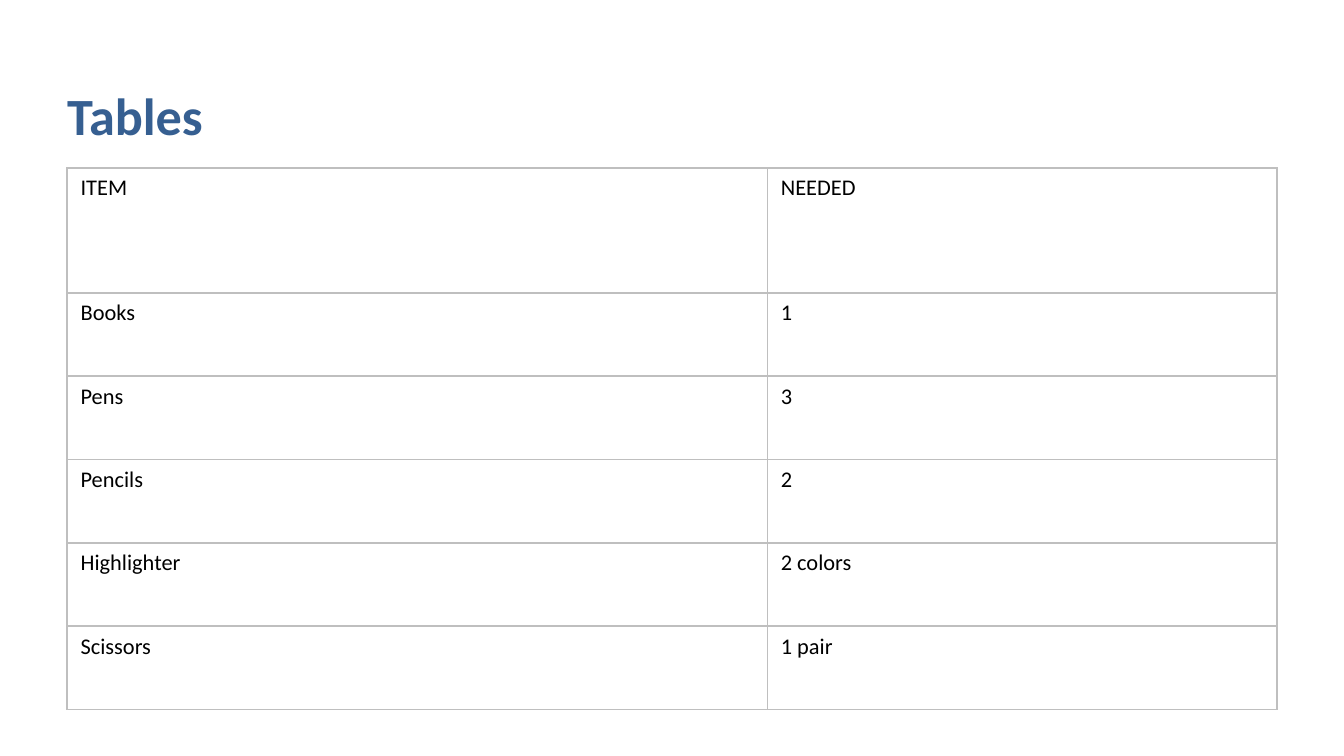
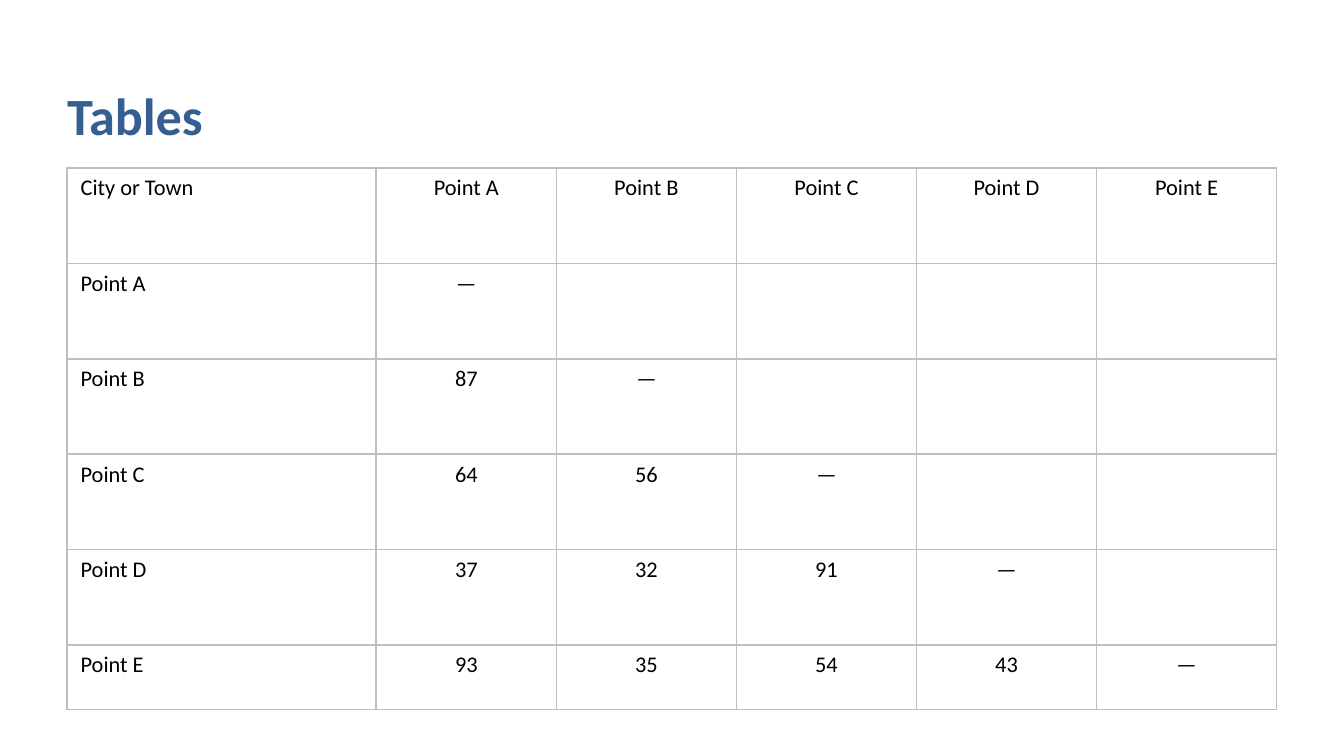
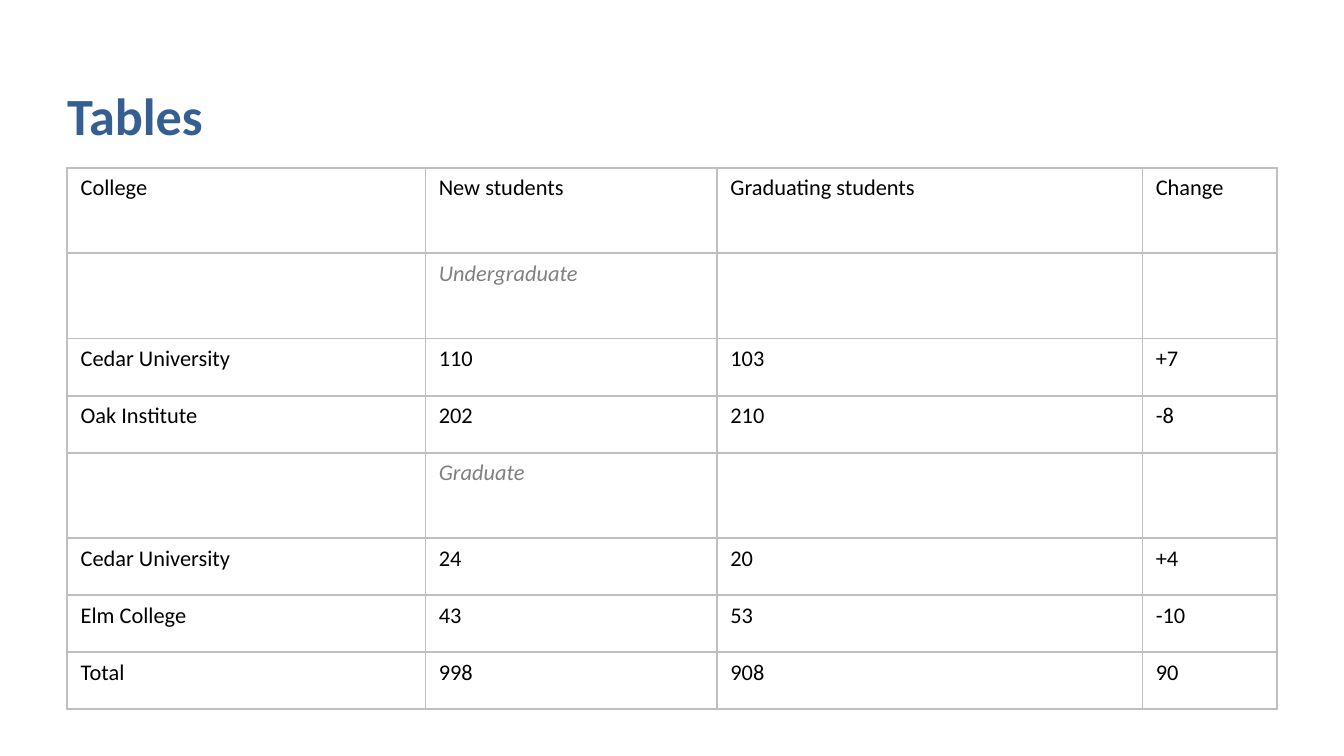
from dataclasses import dataclass
from typing import Any

from lxml.etree import SubElement
from pptx import Presentation
from pptx.dml.color import RGBColor
from pptx.enum.text import MSO_ANCHOR, MSO_AUTO_SIZE, PP_ALIGN
from pptx.oxml.ns import qn
from pptx.util import Emu, Pt

# Scale: 200 px to the inch
EMU_PER_PX = 4572
SLIDE_WIDTH, SLIDE_HEIGHT = 2000, 1125
MARGIN = 100
CONTENT_WIDTH = SLIDE_WIDTH - 2 * MARGIN
TITLE_TOP, TITLE_HEIGHT = 62, 156
TABLE_TOP = 250
TITLE_ONLY_LAYOUT = 5

# Shared style
BLUE = RGBColor(0x36, 0x5F, 0x91)
BLACK = RGBColor(0x00, 0x00, 0x00)
GRAY = RGBColor(0x80, 0x80, 0x80)
BORDER_GRAY = RGBColor(0xBF, 0xBF, 0xBF)
BORDER_WIDTH = Pt(1.02)
FONT_NAME = "Calibri"
TITLE_FONT = {"name": FONT_NAME, "size": Pt(28), "bold": True}
CELL_FONT = {"name": FONT_NAME, "size": Pt(12), "italic": False}
GROUP_FONT = CELL_FONT | {"italic": True}
TITLE_FRAME = {
    "margin_left": 0, "margin_top": 0, "margin_right": 0, "margin_bottom": 0,
    "vertical_anchor": MSO_ANCHOR.BOTTOM, "word_wrap": True,
    "auto_size": MSO_AUTO_SIZE.SHAPE_TO_FIT_TEXT,
}
PLAIN_TABLE = {"first_row": False, "horz_banding": False}


@dataclass(frozen=True)
class TableSlide:
    title: str
    column_widths: list[int]
    row_heights: list[int]
    rows: list[tuple[str, ...]]
    centered_values: bool = False
    group_labels: tuple[str, ...] = ()


POINTS = [f"Point {letter}" for letter in "ABCDE"]
DISTANCES = [(), ("87",), ("64", "56"), ("37", "32", "91"), ("93", "35", "54", "43")]

TABLE_SLIDES = [
    TableSlide(
        "Tables", [1042, 758], [186] + [124] * 5,
        [
            ("ITEM", "NEEDED"),
            ("Books", "1"),
            ("Pens", "3"),
            ("Pencils", "2"),
            ("Highlighter", "2 colors"),
            ("Scissors", "1 pair"),
        ],
    ),
    TableSlide(
        "Tables", [460] + [268] * 5, [142] * 5 + [96],
        [("City or Town", *POINTS)]
        + [(point, *values, "—") for point, values in zip(POINTS, DISTANCES)],
        centered_values=True,
    ),
    TableSlide(
        "Tables", [533, 434, 633, 200], [127, 127, 85, 85, 127, 85, 85, 85],
        [
            ("College", "New students", "Graduating students", "Change"),
            ("", "Undergraduate"),
            ("Cedar University", "110", "103", "+7"),
            ("Oak Institute", "202", "210", "-8"),
            ("", "Graduate"),
            ("Cedar University", "24", "20", "+4"),
            ("Elm College", "43", "53", "-10"),
            ("Total", "998", "908", "90"),
        ],
        group_labels=("Undergraduate", "Graduate"),
    ),
]


def px(length: int) -> Emu:
    return Emu(length * EMU_PER_PX)


def apply_format(target: Any, values: dict[str, Any]) -> None:
    for name, value in values.items():
        setattr(target, name, value)


def write_text(paragraph: Any, text: str, font: dict[str, Any], color: RGBColor) -> None:
    run = paragraph.add_run()
    run.text = text
    apply_format(run.font, font)
    run.font.color.rgb = color


def format_cell(cell: Any) -> None:
    """Draw all four borders and leave the cell unfilled."""
    properties = cell._tc.get_or_add_tcPr()
    for side in ("a:lnL", "a:lnR", "a:lnT", "a:lnB"):
        line = SubElement(properties, qn(side), w=str(BORDER_WIDTH))
        fill = SubElement(line, qn("a:solidFill"))
        SubElement(fill, qn("a:srgbClr"), val=str(BORDER_GRAY))
    cell.fill.background()


def add_title(slide: Any, text: str) -> None:
    title = slide.shapes.title
    apply_format(title, {
        "left": px(MARGIN), "top": px(TITLE_TOP),
        "width": px(CONTENT_WIDTH), "height": px(TITLE_HEIGHT),
    })
    apply_format(title.text_frame, TITLE_FRAME)
    paragraph = title.text_frame.paragraphs[0]
    paragraph.alignment = PP_ALIGN.LEFT
    write_text(paragraph, text, TITLE_FONT, BLUE)


def add_data_table(slide: Any, content: TableSlide) -> None:
    table = slide.shapes.add_table(
        len(content.row_heights), len(content.column_widths),
        px(MARGIN), px(TABLE_TOP), px(CONTENT_WIDTH), px(sum(content.row_heights)),
    ).table
    apply_format(table, PLAIN_TABLE)
    for column, width in zip(table.columns, content.column_widths):
        column.width = px(width)
    for row, height in zip(table.rows, content.row_heights):
        row.height = px(height)
    for cell in table.iter_cells():
        format_cell(cell)

    # Cells past the end of a short row stay empty
    for row_index, texts in enumerate(content.rows):
        for column_index, text in enumerate(texts):
            if not text:
                continue
            paragraph = table.cell(row_index, column_index).text_frame.paragraphs[0]
            if content.centered_values and column_index > 0:
                paragraph.alignment = PP_ALIGN.CENTER
            if text in content.group_labels:
                write_text(paragraph, text, GROUP_FONT, GRAY)
            else:
                write_text(paragraph, text, CELL_FONT, BLACK)


def main() -> None:
    presentation = Presentation()
    presentation.slide_width = px(SLIDE_WIDTH)
    presentation.slide_height = px(SLIDE_HEIGHT)
    layout = presentation.slide_layouts[TITLE_ONLY_LAYOUT]
    for content in TABLE_SLIDES:
        slide = presentation.slides.add_slide(layout)
        add_title(slide, content.title)
        add_data_table(slide, content)
    presentation.save("out.pptx")


if __name__ == "__main__":
    main()
